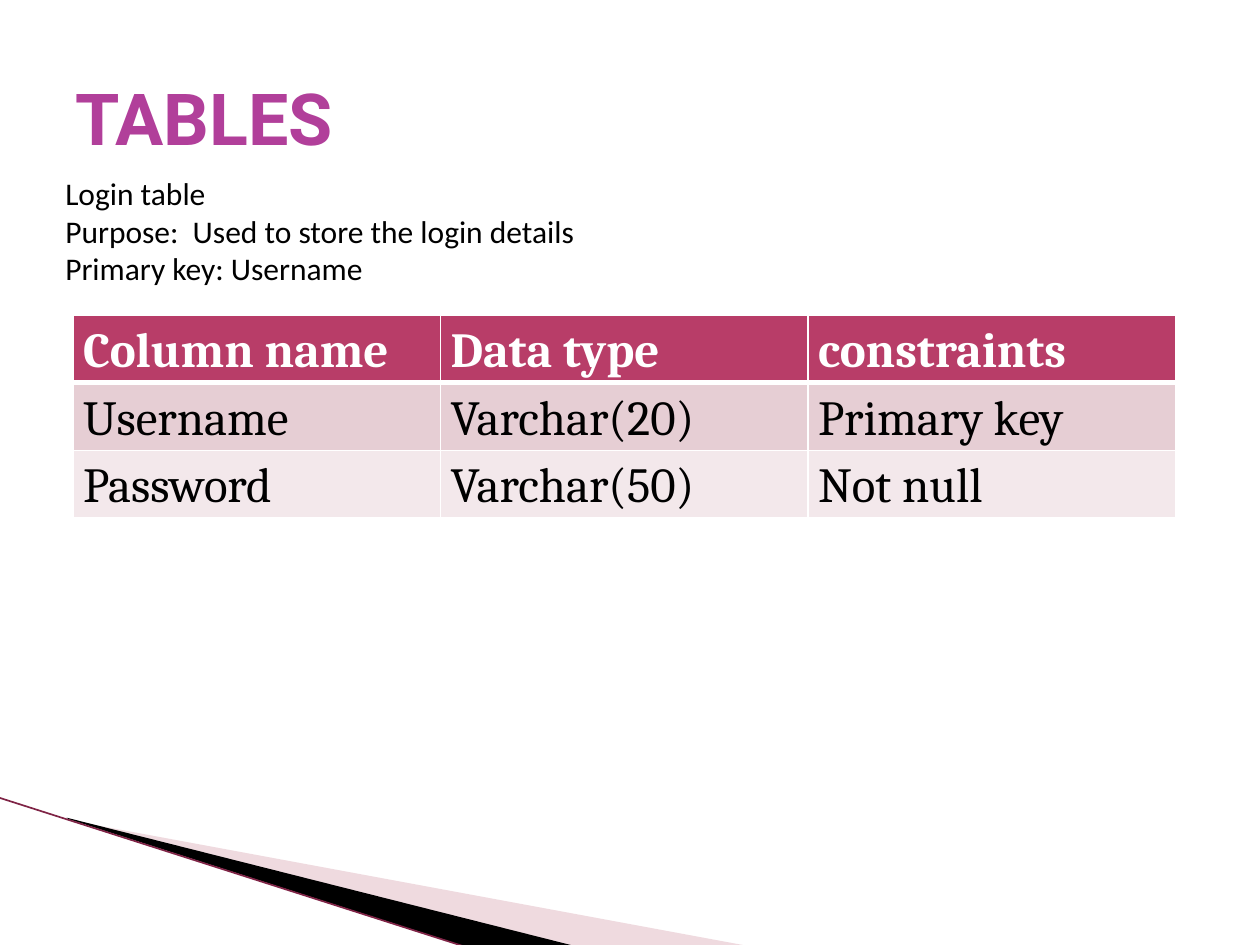
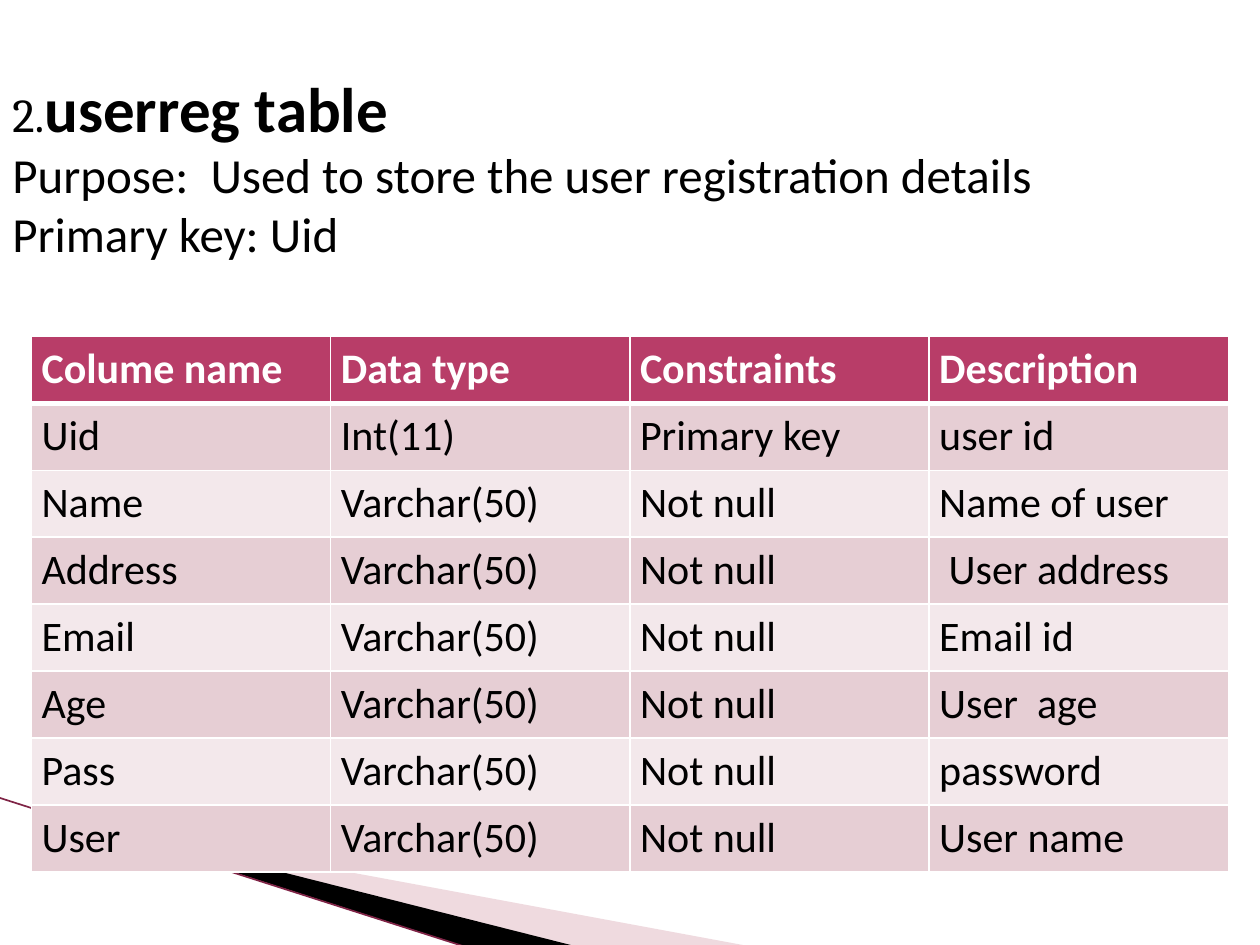
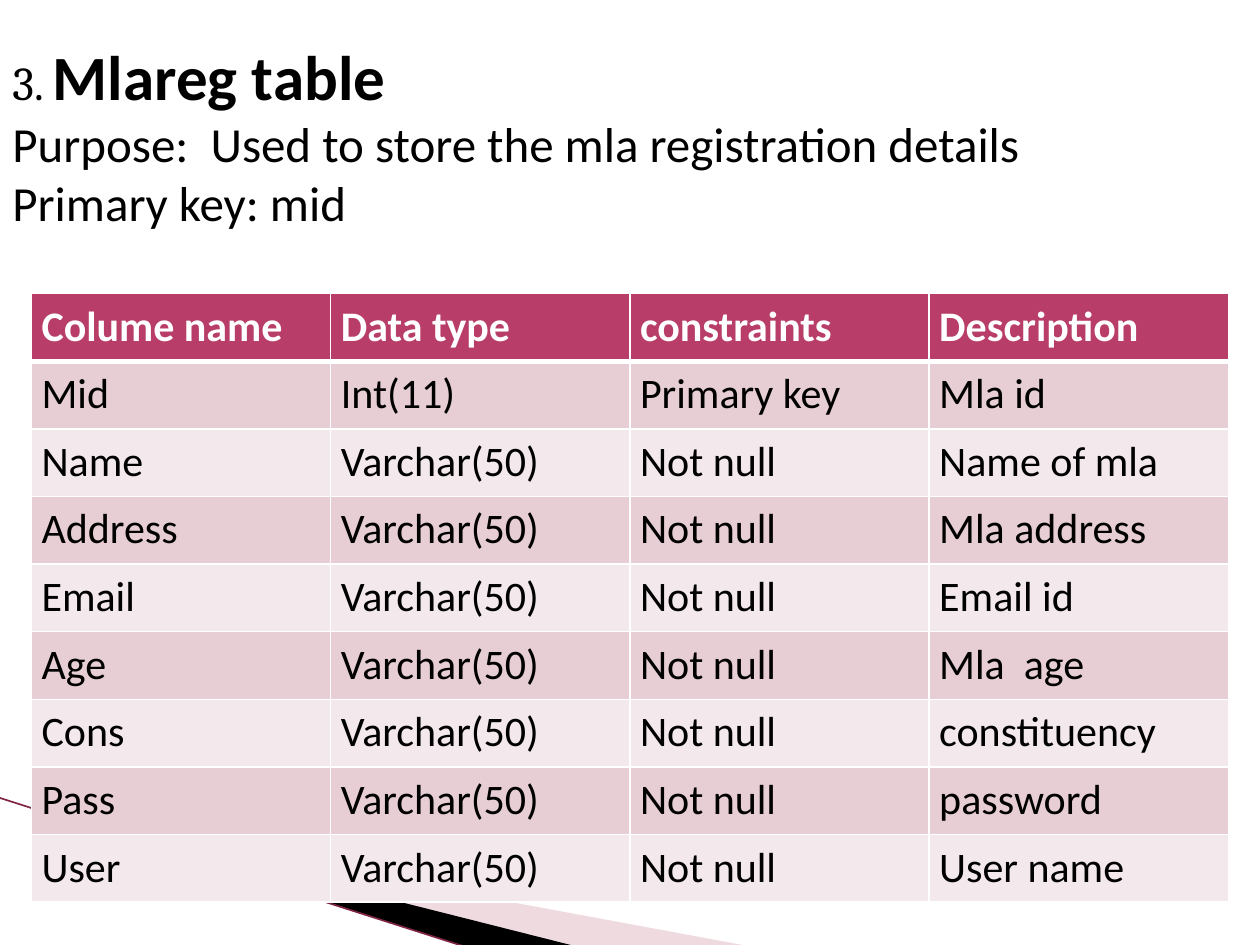
from dataclasses import dataclass

from lxml import etree
from pptx import Presentation
from pptx import util as u
from pptx.dml.color import RGBColor
from pptx.enum import shapes, text
from pptx.oxml import ns


@dataclass(frozen=True)
class Theme:
    heading: str = "B13F9A"
    ink: str = "000000"
    paper: str = "FFFFFF"
    header: str = "B83D68"
    stripes: tuple = ("E6CED4", "F3E8EB")
    wedge: str = "D8A3AF"
    edge: str = "7F2446"
    sans: str = "Calibri"
    serif: str = "Cambria"
    display: str = "Roboto"
    heading_size: int = 41
    number_size: int = 27
    name_size: int = 36
    detail_size: int = 28
    note_size: int = 18
    wide_table_size: int = 24


THEME = Theme()


def style(face, size, color=THEME.ink, bold=False):
    return {"name": face, "size": u.Pt(size), "bold": bold, "color": color}


HEADING = style(THEME.display, THEME.heading_size, THEME.heading, True)
NOTE = style(THEME.sans, THEME.note_size)
NUMBER = style(THEME.serif, THEME.number_size)
NAME = style(THEME.sans, THEME.name_size, bold=True)
DETAIL = style(THEME.sans, THEME.detail_size)

NULLABLE = ("Varchar(50)", "Not null")
KEY = ("Int(11)", "Primary key")


def apply(target, values):
    for key, value in values.items():
        if key == "color":
            target.color.rgb = RGBColor.from_string(value)
        else:
            setattr(target, key, value)


def write_runs(paragraph, runs):
    for wording, look in runs:
        run = paragraph.add_run()
        run.text = wording
        apply(run.font, look)


def add_text(slide, box, lines, anchor=text.MSO_ANCHOR.TOP):
    frame = slide.shapes.add_textbox(*map(u.Inches, box)).text_frame
    apply(frame, {"word_wrap": True, "vertical_anchor": anchor})
    for index, runs in enumerate(lines):
        paragraph = frame.add_paragraph() if index else frame.paragraphs[0]
        write_runs(paragraph, runs)


def reframe(wedge, box):
    left, top, width, height = map(u.Inches, box)
    outline = wedge._element.spPr.find(".//" + ns.qn("a:path"))
    for point in outline.iter(ns.qn("a:pt")):
        point.set("x", str(int(point.get("x")) + wedge.left - left))
        point.set("y", str(int(point.get("y")) + wedge.top - top))
    outline.set("w", str(width))
    outline.set("h", str(height))
    apply(wedge, {"left": left, "top": top, "width": width, "height": height})


def add_wedge(slide, box, points, color, opacity=100):
    start, *rest = [(u.Inches(x), u.Inches(y)) for x, y in points]
    builder = slide.shapes.build_freeform(*start)
    builder.add_line_segments(rest, close=True)
    wedge = builder.convert_to_shape()
    reframe(wedge, box)
    wedge.shadow.inherit = False
    wedge.line.fill.background()
    wedge.fill.solid()
    wedge.fill.fore_color.rgb = RGBColor.from_string(color)
    if opacity < 100:
        shade = wedge.fill._xPr.find(".//" + ns.qn("a:srgbClr"))
        etree.SubElement(shade, ns.qn("a:alpha"), val=str(opacity * 1000))


def add_edge(slide, start, end):
    edge = slide.shapes.add_connector(
        shapes.MSO_CONNECTOR.STRAIGHT, *map(u.Inches, start + end))
    edge.line.color.rgb = RGBColor.from_string(THEME.edge)
    edge.line.width = u.Pt(0.95)
    etree.SubElement(edge._element.spPr, ns.qn("a:effectLst"))


def add_page(deck):
    slide = deck.slides.add_slide(deck.slide_layouts[6])
    slide.background.fill.solid()
    slide.background.fill.fore_color.rgb = RGBColor.from_string(THEME.paper)
    add_wedge(slide, (0.78, 5.47, 4.16, 1.58),
              [(0.55, 6.51), (5.95, 7.51), (4.56, 7.51), (0.55, 6.5)],
              THEME.wedge, 40)
    add_wedge(slide, (-0.06, 6.33, 4.16, 0.92),
              [(0.53, 6.49), (4.57, 7.51), (3.72, 7.52), (0.54, 6.5)],
              THEME.ink)
    add_edge(slide, (-0.01, 6.33), (3.71, 7.52))
    return slide


def set_borders(cell, widths):
    properties = cell._tc.get_or_add_tcPr()
    for side, points in widths.items():
        border = etree.SubElement(
            properties, ns.qn("a:ln" + side), w=str(u.Pt(points)))
        solid = etree.SubElement(border, ns.qn("a:solidFill"))
        etree.SubElement(solid, ns.qn("a:srgbClr"), val=THEME.paper)


def fill_cell(cell, wording, row, face, size):
    is_header = row == 0
    apply(cell, {"margin_left": u.Inches(0.08), "margin_right": u.Inches(0.08),
                 "margin_top": 0, "margin_bottom": 0})
    set_borders(cell, {"L": 1, "R": 1, "T": 3 if row == 1 else 1,
                       "B": 3 if is_header else 1})
    cell.fill.solid()
    color = THEME.header if is_header else THEME.stripes[(row - 1) % 2]
    cell.fill.fore_color.rgb = RGBColor.from_string(color)
    paragraph = cell.text_frame.paragraphs[0]
    paragraph.line_spacing = 1.15
    ink = THEME.paper if is_header else THEME.ink
    write_runs(paragraph, [(wording, style(face, size, ink, is_header))])


def add_schema(slide, left, top, width, heights, rows, face, size):
    box = map(u.Inches, (left, top, width, sum(heights)))
    schema = slide.shapes.add_table(len(rows), len(rows[0]), *box).table
    for row, (height, fields) in enumerate(zip(heights, rows)):
        schema.rows[row].height = u.Inches(height)
        for column, wording in enumerate(fields):
            fill_cell(schema.cell(row, column), wording, row, face, size)


def add_login_page(deck):
    slide = add_page(deck)
    add_text(slide, (0.5, 0.3, 9, 1.25), [[("TABLES", HEADING)]],
             text.MSO_ANCHOR.MIDDLE)
    notes = ["Login table", "Purpose:  Used to store the login details",
             "Primary key: Username"]
    add_text(slide, (0.42, 1.33, 4.67, 1.31), [[(note, NOTE)] for note in notes])
    rows = [("Column name", "Data type", "constraints"),
            ("Username", "Varchar(20)", "Primary key"),
            ("Password", *NULLABLE)]
    add_schema(slide, 0.58, 2.5, 8.75, (0.5, 0.41, 0.41), rows,
               THEME.serif, THEME.detail_size)


def add_registration_page(deck, box, number, name, details, table_top,
                          table_height, rows):
    slide = add_page(deck)
    add_text(slide, box, [[(number, NUMBER), (name, NAME)],
                          *([(detail, DETAIL)] for detail in details)])
    heights = [table_height / len(rows)] * len(rows)
    add_schema(slide, 0.25, table_top, 9.5, heights, rows,
               THEME.sans, THEME.wide_table_size)


def main():
    deck = Presentation()
    apply(deck, {"slide_width": u.Inches(10), "slide_height": u.Inches(7.5)})
    add_login_page(deck)
    add_registration_page(
        deck, (0, 0.5, 10, 7), "2.", "userreg table",
        ["Purpose:  Used to store the user registration details",
         "Primary key: Uid"],
        2.67, 4.25,
        [("Colume name", "Data type", "Constraints", "Description"),
         ("Uid", *KEY, "user id"),
         ("Name", *NULLABLE, "Name of user"),
         ("Address", *NULLABLE, " User address"),
         ("Email", *NULLABLE, "Email id"),
         ("Age", *NULLABLE, "User  age"),
         ("Pass", *NULLABLE, "password"),
         ("User", *NULLABLE, "User name")])
    add_registration_page(
        deck, (0, 0.25, 9.75, 7), "3. ", "Mlareg table",
        ["Purpose:  Used to store the mla registration details",
         "Primary key: mid"],
        2.33, 4.83,
        [("Colume name", "Data type", "constraints", "Description"),
         ("Mid", *KEY, "Mla id"),
         ("Name", *NULLABLE, "Name of mla"),
         ("Address", *NULLABLE, "Mla address"),
         ("Email", *NULLABLE, "Email id"),
         ("Age", *NULLABLE, "Mla  age"),
         ("Cons", *NULLABLE, "constituency"),
         ("Pass", *NULLABLE, "password"),
         ("User", *NULLABLE, "User name")])
    deck.save("out.pptx")


if __name__ == "__main__":
    main()
